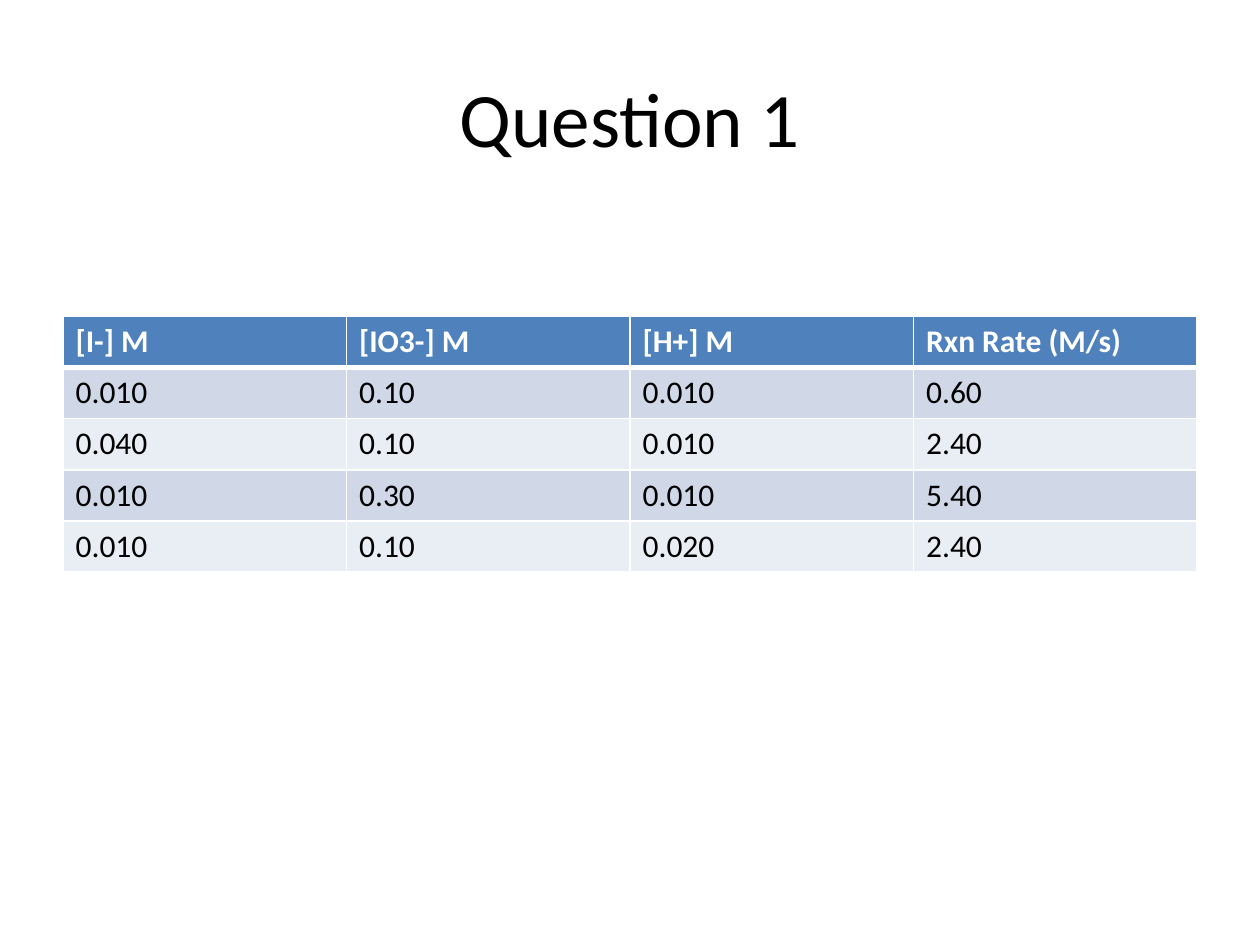
from dataclasses import dataclass

from lxml import etree
from pptx import Presentation
from pptx import util as u
from pptx.dml.color import RGBColor
from pptx.enum import text
from pptx.oxml import ns


@dataclass(frozen=True)
class Theme:
    font: str = "Calibri"
    ink: str = "000000"
    paper: str = "FFFFFF"
    header: str = "4F81BD"
    bands: tuple = ("D0D8E8", "E9EDF4")
    title_size: int = 44
    table_size: int = 18
    rule: int = 1
    header_rule: int = 3


THEME = Theme()
RATES = [
    ("[I-] M", "[IO3-] M", "[H+] M", "Rxn Rate (M/s)"),
    ("0.010", "0.10", "0.010", "0.60"),
    ("0.040", "0.10", "0.010", "2.40"),
    ("0.010", "0.30", "0.010", "5.40"),
    ("0.010", "0.10", "0.020", "2.40"),
]


def write(frame, words, color, **formats):
    para = frame.paragraphs[0]
    span = para.add_run()
    span.text = words
    for name, value in {"name": THEME.font, **formats}.items():
        setattr(span.font, name, value)
    span.font.color.rgb = RGBColor.from_string(color)
    return para


def add_border(cell, side, points):
    properties = cell._tc.get_or_add_tcPr()
    line = etree.SubElement(properties, ns.qn(f"a:ln{side}"), w=str(u.Pt(points)))
    fill = etree.SubElement(line, ns.qn("a:solidFill"))
    etree.SubElement(fill, ns.qn("a:srgbClr"), val=THEME.paper)


def place_title(page, words, left, top, width, height):
    title = page.shapes.title
    for name, value in dict(left=left, top=top, width=width, height=height).items():
        setattr(title, name, value)
    title.text_frame.vertical_anchor = text.MSO_ANCHOR.MIDDLE
    para = write(title.text_frame, words, THEME.ink, size=u.Pt(THEME.title_size))
    para.alignment = text.PP_ALIGN.CENTER


def place_table(page, rows, left, top, width, height):
    """Add a table with a header row and banded body rows."""
    table = page.shapes.add_table(len(rows), len(rows[0]), left, top, width, height).table
    for row, values in enumerate(rows):
        is_header = row == 0
        fill = THEME.header if is_header else THEME.bands[(row - 1) % 2]
        color = THEME.paper if is_header else THEME.ink
        borders = {
            "L": THEME.rule,
            "R": THEME.rule,
            "T": THEME.header_rule if row == 1 else THEME.rule,
            "B": THEME.header_rule if is_header else THEME.rule,
        }
        for column, words in enumerate(values):
            cell = table.cell(row, column)
            for side, points in borders.items():
                add_border(cell, side, points)
            cell.fill.solid()
            cell.fill.fore_color.rgb = RGBColor.from_string(fill)
            write(cell.text_frame, words, color,
                  size=u.Pt(THEME.table_size), bold=is_header)


def main():
    deck = Presentation()
    deck.slide_width, deck.slide_height = u.Cm(25.4), u.Cm(19.05)
    page = deck.slides.add_slide(deck.slide_layouts.get_by_name("Title Only"))
    margin = u.Cm(1.27)
    width = deck.slide_width - 2 * margin
    place_title(page, "Question 1", margin, u.Cm(0.76), width, u.Cm(3.18))
    place_table(page, RATES, margin, u.Cm(6.38), width, u.Cm(5.15))
    deck.save("out.pptx")


if __name__ == "__main__":
    main()
